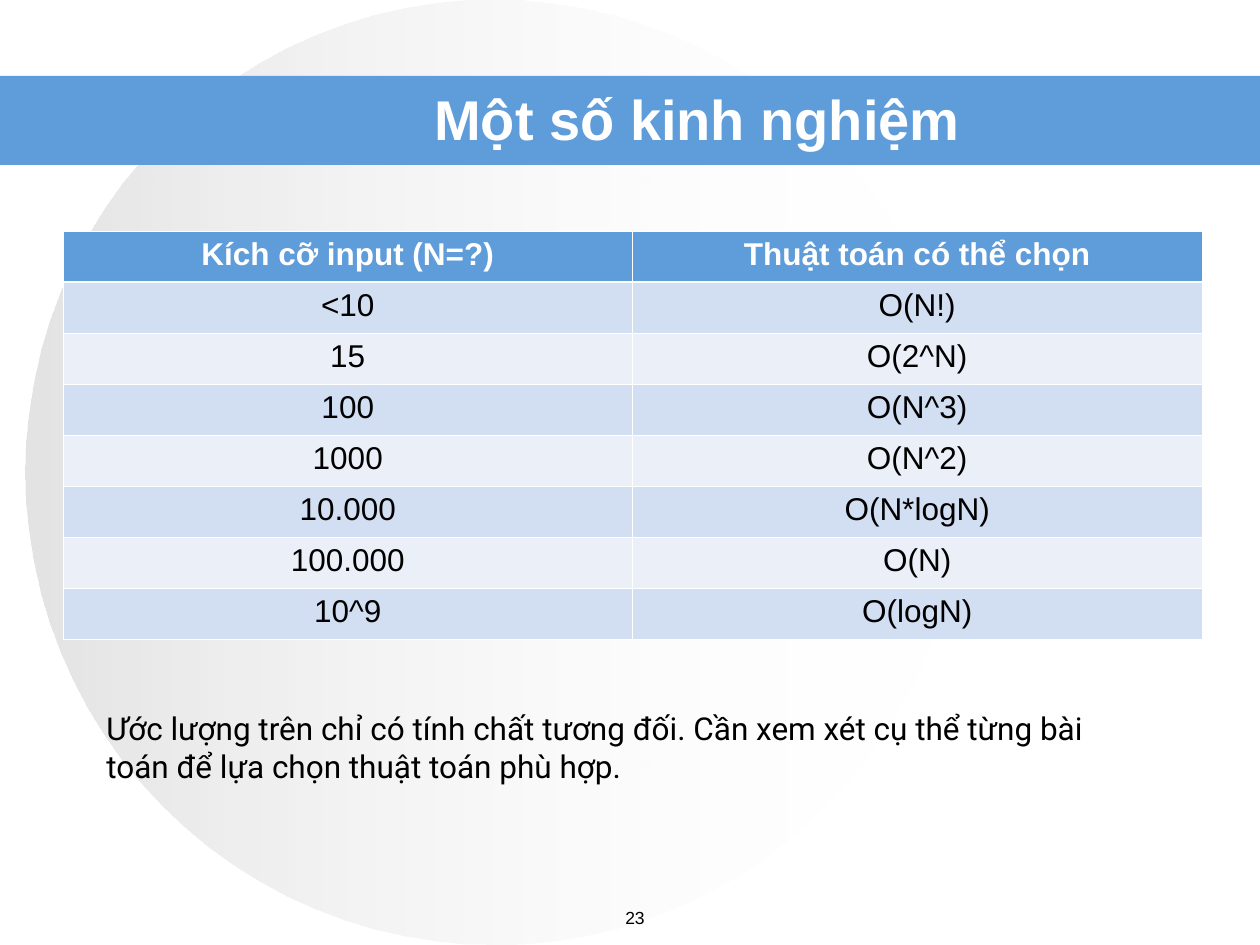
import pptx
import pptx.dml.color
import pptx.enum.shapes
import pptx.enum.text
import pptx.oxml
import pptx.oxml.ns
import pptx.util
from lxml import etree

COLORS = {
    "accent": "5E9CDA", "band_dark": "D2DEF1", "band_light": "EAEFF8",
    "white": "FFFFFF", "black": "000000", "silver": "C0C0C0",
}
ALIGN = pptx.enum.text.PP_ALIGN
ANCHOR = pptx.enum.text.MSO_ANCHOR
SHAPE = pptx.enum.shapes.MSO_SHAPE
qn = pptx.oxml.ns.qn


def px(*lengths):
    """Turn pixel lengths (126 to the inch) into a list of EMU."""
    return [pptx.util.Emu(round(n * 914400 / 126)) for n in lengths]


def write(frame, text, size, color, bold=False, align=ALIGN.CENTER, font="Arial"):
    frame.word_wrap = True
    paragraph = frame.paragraphs[0]
    paragraph.text = text
    paragraph.alignment = align
    paragraph.font.name = font
    paragraph.font.size = pptx.util.Pt(size)
    paragraph.font.bold = bold
    paragraph.font.color.rgb = pptx.dml.color.RGBColor.from_string(COLORS[color])


deck = pptx.Presentation()
deck.slide_width, deck.slide_height = px(1260, 945)
slide = deck.slides.add_slide(deck.slide_layouts[5])
shapes = slide.shapes

# Backdrop: fading circle and title band
circle = shapes.add_shape(SHAPE.OVAL, *px(25, 0, 937, 945))
circle.shadow.inherit = False
circle.line.fill.background()
circle.fill.gradient()
circle.fill.gradient_angle = 0
fade = [("silver", 0, 44), ("white", 1, 0)]
for stop, (color, position, opacity) in zip(circle.fill.gradient_stops, fade):
    stop.color.rgb = pptx.dml.color.RGBColor.from_string(COLORS[color])
    stop.position = position
for tint, (_, _, opacity) in zip(circle._element.spPr.iter(qn("a:srgbClr")), fade):
    etree.SubElement(tint, qn("a:alpha"), val=str(opacity * 1000))

band = shapes.add_shape(SHAPE.RECTANGLE, *px(0, 76, 1260, 89))
band.shadow.inherit = False
band.line.fill.background()
band.fill.solid()
band.fill.fore_color.rgb = pptx.dml.color.RGBColor.from_string(COLORS["accent"])

# The title goes in front of the band
title = shapes.title
shapes._spTree.append(title._element)
title.left, title.top, title.width, title.height = px(283, 85, 829, 67)
title.text_frame.vertical_anchor = ANCHOR.MIDDLE
write(title.text_frame, "Một số kinh nghiệm", 32, "white", bold=True)

# Input size against algorithm complexity
complexities = [
    ("Kích cỡ input (N=?)", "Thuật toán có thể chọn"),
    ("<10", "O(N!)"),
    ("15", "O(2^N)"),
    ("100", "O(N^3)"),
    ("1000", "O(N^2)"),
    ("10.000", "O(N*logN)"),
    ("100.000", "O(N)"),
    ("10^9", "O(logN)"),
]
table = shapes.add_table(len(complexities), 2, *px(63, 231, 1139, 408)).table
for r, row in enumerate(complexities):
    table.rows[r].height = px(51)[0]
    header = r == 0
    fill = "accent" if header else "band_dark" if r % 2 else "band_light"
    for c, text in enumerate(row):
        cell = table.cell(r, c)
        write(cell.text_frame, text, 18, "white" if header else "black", bold=header)
        properties = cell._tc.get_or_add_tcPr()
        for side in "LRTB":
            heavy = (r, side) in [(0, "B"), (1, "T")]
            border = etree.SubElement(properties, qn(f"a:ln{side}"),
                                      w=str(pptx.util.Pt(1.47 if heavy else 0.45)))
            paint = etree.SubElement(border, qn("a:solidFill"))
            etree.SubElement(paint, qn("a:srgbClr"), val=COLORS["white"])
        cell.fill.solid()
        cell.fill.fore_color.rgb = pptx.dml.color.RGBColor.from_string(COLORS[fill])

page_number = shapes.add_textbox(*px(577, 901, 116, 37))
write(page_number.text_frame, "23", 10, "black")

remark = shapes.add_textbox(*px(94, 703, 1040, 88))
write(remark.text_frame,
      "Ước lượng trên chỉ có tính chất tương đối. Cần xem xét cụ thể từng bài "
      "toán để lựa chọn thuật toán phù hợp.",
      18, "black", align=ALIGN.LEFT, font="Roboto")
remark.text_frame.auto_size = pptx.enum.text.MSO_AUTO_SIZE.SHAPE_TO_FIT_TEXT

deck.save("out.pptx")
